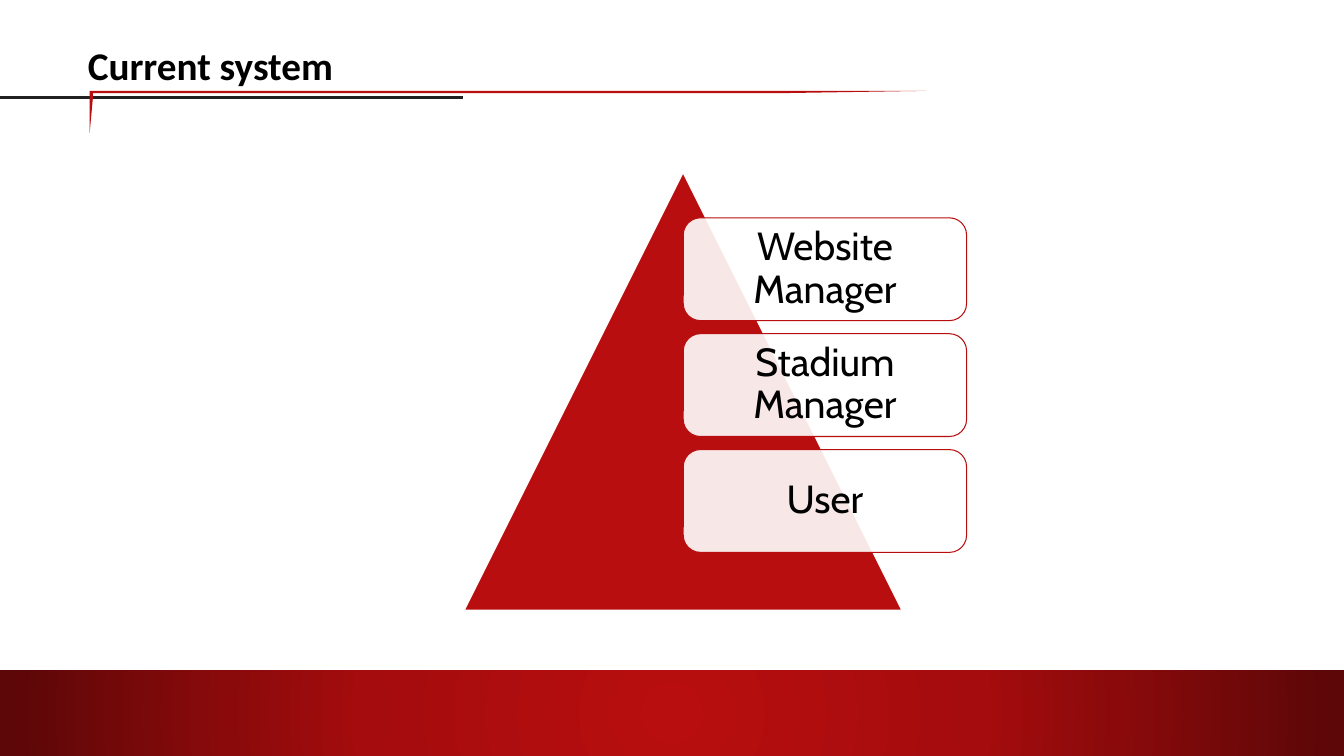
from lxml.etree import SubElement
from pptx import Presentation
from pptx.dml.color import RGBColor
from pptx.enum.shapes import MSO_CONNECTOR, MSO_SHAPE
from pptx.enum.text import MSO_ANCHOR, MSO_AUTO_SIZE, PP_ALIGN
from pptx.oxml import parse_xml
from pptx.oxml.ns import nsdecls, qn
from pptx.util import Cm, Pt

RED = RGBColor(0xB8, 0x0E, 0x0F)
BRIGHT_RED = RGBColor(0xA4, 0x0C, 0x0D)
DEEP_RED = RGBColor(0x8A, 0x0A, 0x0B)
DARK_RED = RGBColor(0x5E, 0x07, 0x08)
CHARCOAL = RGBColor(0x21, 0x21, 0x21)
BLACK = RGBColor(0, 0, 0)
WHITE = RGBColor(0xFF, 0xFF, 0xFF)

SLIDE_WIDTH, SLIDE_HEIGHT = Cm(33.87), Cm(19.05)
BAND_STOPS = [(0, RED), (46, BRIGHT_RED), (66, DEEP_RED), (97, DARK_RED)]
ROLES = ["Website Manager", "Stadium Manager", "User"]
CARD_TOP, CARD_PITCH = 5.49, 2.92
# Corners of the tapering title flourish, in centimetres
FLOURISH = [(2.26, 2.29), (23.34, 2.29), (19.56, 2.35),
            (2.34, 2.35), (2.34, 2.49), (2.26, 3.36)]


def add_solid(page, kind, left, top, width, height, color):
    shape = page.shapes.add_shape(kind, left, top, width, height)
    shape.shadow.inherit = False
    shape.fill.solid()
    shape.fill.fore_color.rgb = color
    shape.line.fill.background()
    return shape


def add_band(page):
    height = Cm(2.16)
    band = add_solid(page, MSO_SHAPE.RECTANGLE, 0, SLIDE_HEIGHT - height,
                     SLIDE_WIDTH, height, RED)
    # Radial gradient from the centre outwards
    stops = "".join(
        f'<a:gs pos="{position * 1000}"><a:srgbClr val="{color}"/></a:gs>'
        for position, color in BAND_STOPS)
    gradient = parse_xml(
        f'<a:gradFill {nsdecls("a")} rotWithShape="1"><a:gsLst>{stops}</a:gsLst>'
        '<a:path path="circle"><a:fillToRect l="50000" t="50000" '
        'r="50000" b="50000"/></a:path></a:gradFill>')
    properties = band._element.spPr
    properties.replace(properties.find(qn("a:solidFill")), gradient)


def add_card(page, role, top):
    card = add_solid(page, MSO_SHAPE.ROUNDED_RECTANGLE, Cm(17.22), top,
                     Cm(7.14), Cm(2.59), WHITE)
    color = card._element.spPr.find(qn("a:solidFill"))[0]
    SubElement(color, qn("a:alpha"), val="90000")
    card.line.color.rgb = RED
    card.line.width = Pt(0.75)
    frame = card.text_frame
    frame.word_wrap = True
    frame.vertical_anchor = MSO_ANCHOR.MIDDLE
    frame.margin_left = frame.margin_right = Cm(0.3)
    frame.margin_top = frame.margin_bottom = Cm(0.3)
    para = frame.paragraphs[0]
    para.text = role
    para.alignment = PP_ALIGN.CENTER
    para.line_spacing = 0.9
    para.font.name = "Cabin"
    para.font.size = Pt(28)
    para.font.color.rgb = BLACK


def add_rule(page):
    rule = page.shapes.add_connector(MSO_CONNECTOR.STRAIGHT,
                                     0, Cm(2.46), Cm(11.68), Cm(2.46))
    rule.line.color.rgb = CHARCOAL
    rule.line.width = Pt(2.25)
    SubElement(rule._element.spPr, qn("a:effectLst"))


def add_flourish(page):
    points = [(Cm(x), Cm(y)) for x, y in FLOURISH]
    builder = page.shapes.build_freeform(*points[0])
    builder.add_line_segments(points[1:], close=True)
    flourish = builder.convert_to_shape()
    flourish.shadow.inherit = False
    flourish.fill.solid()
    flourish.fill.fore_color.rgb = RED
    flourish.line.fill.background()


def set_title(page, text):
    title = page.shapes.title
    title.left, title.top = Cm(1.96), Cm(0.91)
    title.width, title.height = Cm(13.08), Cm(1.45)
    frame = title.text_frame
    frame.word_wrap = True
    frame.auto_size = MSO_AUTO_SIZE.SHAPE_TO_FIT_TEXT
    frame.vertical_anchor = MSO_ANCHOR.TOP
    para = frame.paragraphs[0]
    para.text = text
    para.alignment = PP_ALIGN.LEFT
    para.font.name = "Calibri"
    para.font.size = Pt(28)
    para.font.bold = True
    para.font.color.rgb = BLACK


def main():
    deck = Presentation()
    deck.slide_width, deck.slide_height = SLIDE_WIDTH, SLIDE_HEIGHT
    page = deck.slides.add_slide(deck.slide_layouts.get_by_name("Title Only"))

    # Footer band
    add_band(page)

    # Pyramid with one card per role
    add_solid(page, MSO_SHAPE.ISOSCELES_TRIANGLE, Cm(11.73), Cm(4.39),
              Cm(10.97), Cm(10.97), RED)
    for index, role in enumerate(ROLES):
        add_card(page, role, Cm(CARD_TOP + index * CARD_PITCH))

    # Heading and its underline
    add_rule(page)
    add_flourish(page)
    set_title(page, "Current system")

    deck.save("out.pptx")


if __name__ == "__main__":
    main()
